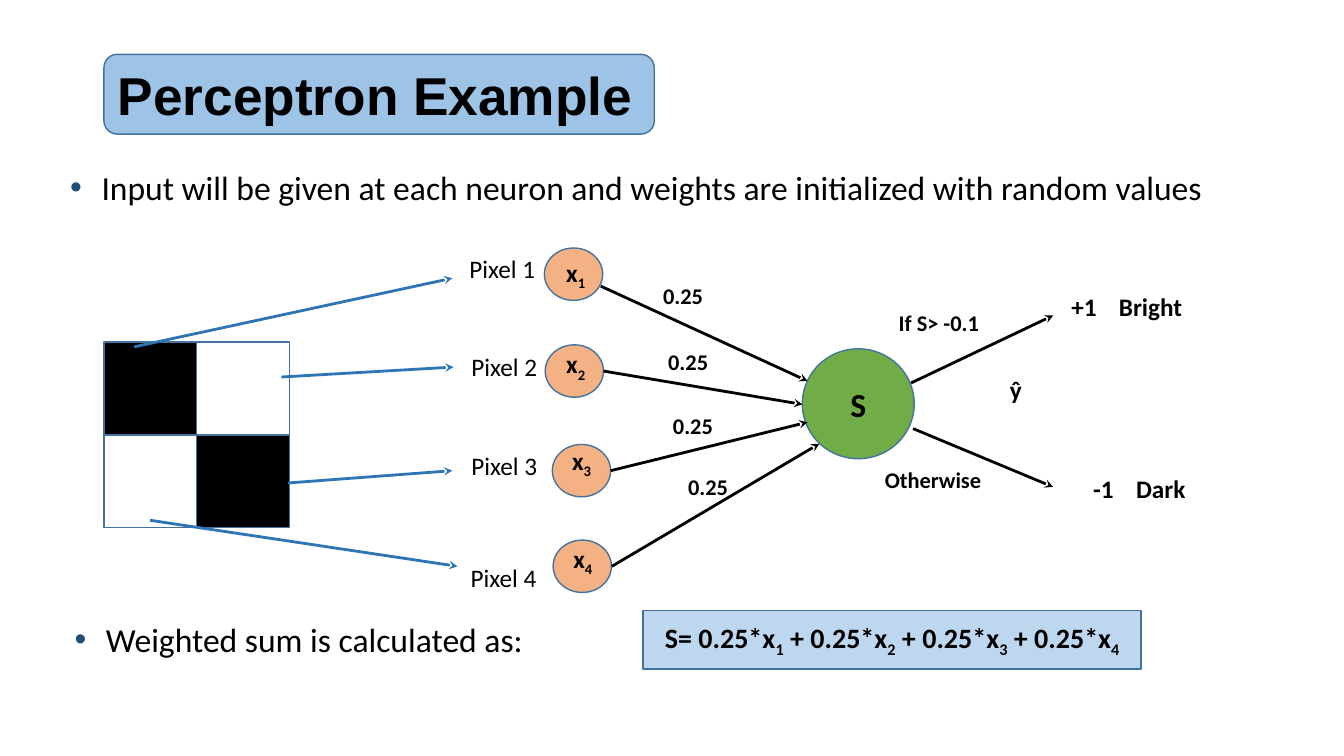
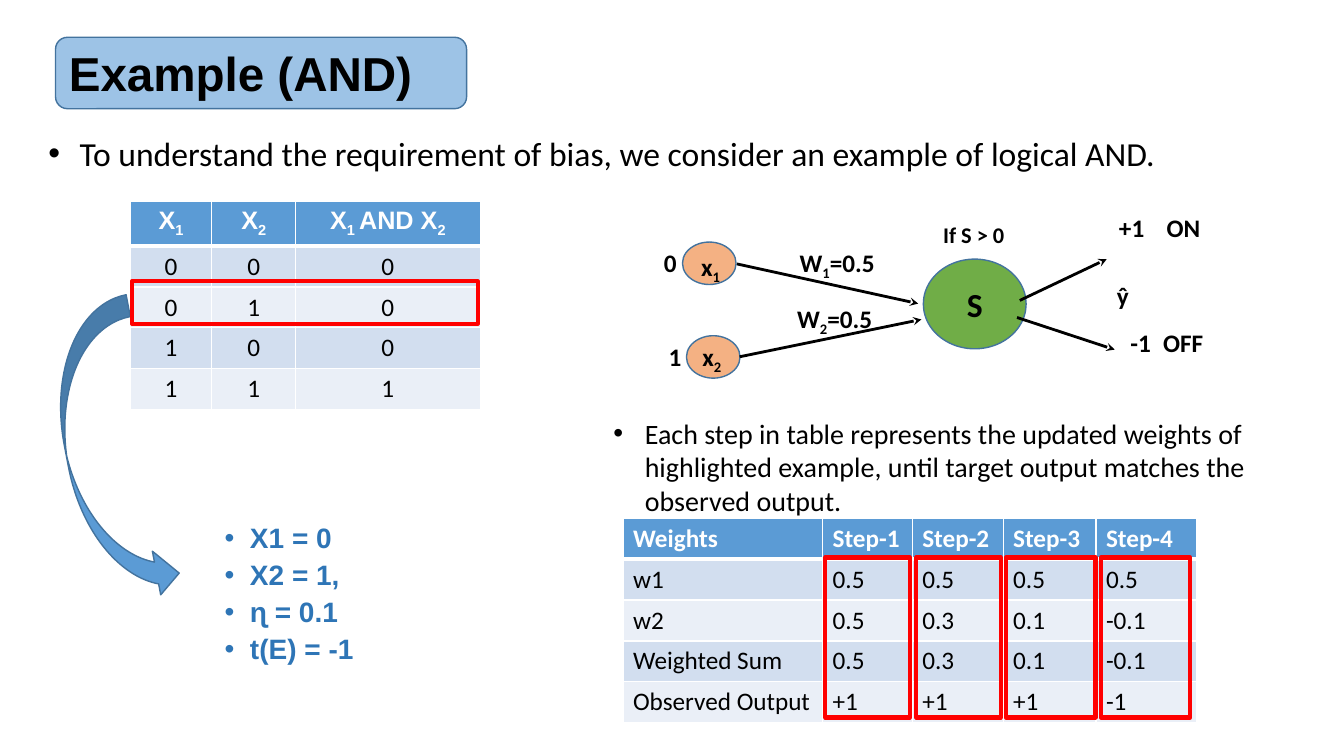
from dataclasses import dataclass

from lxml import etree
from pptx import Presentation
from pptx.dml.color import RGBColor
from pptx.enum.shapes import MSO_CONNECTOR, MSO_SHAPE
from pptx.enum.text import MSO_ANCHOR, PP_ALIGN
from pptx.oxml.ns import qn
from pptx.util import Cm, Pt

RECTANGLE = MSO_SHAPE.RECTANGLE
ROUNDED = MSO_SHAPE.ROUNDED_RECTANGLE
ELLIPSE = MSO_SHAPE.OVAL
CURVED_ARROW = MSO_SHAPE.CURVED_RIGHT_ARROW
STRAIGHT = MSO_CONNECTOR.STRAIGHT
LEFT, CENTER = PP_ALIGN.LEFT, PP_ALIGN.CENTER
TOP, MIDDLE = MSO_ANCHOR.TOP, MSO_ANCHOR.MIDDLE

COLORS = {
    "black": "000000",
    "white": "FFFFFF",
    "outline": "43739E",
    "title": "9DC3E6",
    "formula": "BDD7EE",
    "neuron": "F4B183",
    "sum": "70AD47",
    "accent": "5B9BD5",
    "blue": "2E75B6",
    "navy": "1F4E79",
    "red": "FF0000",
    "band_dark": "D2DEEF",
    "band_light": "EAEFF7",
}
BODY_FONT, HEADING_FONT = "Calibri", "Arial"
INDENT = 0.79
ROW_HEIGHT = 1.03


@dataclass(frozen=True)
class Box:
    left: float
    top: float
    width: float
    height: float = 1.02

    def lengths(self) -> tuple:
        return Cm(self.left), Cm(self.top), Cm(self.width), Cm(self.height)


@dataclass(frozen=True)
class Label:
    text: str
    left: float
    top: float
    width: float = 1.4
    size: int = 18
    bold: bool = True
    tab: float = 0


@dataclass(frozen=True)
class Arrow:
    start: tuple[float, float]
    end: tuple[float, float]
    color: str = "black"


@dataclass(frozen=True)
class Grid:
    left: float
    top: float
    columns: tuple[float, ...]
    rows: tuple[tuple[str, ...], ...]
    align: int
    header_font: str


def rgb(name: str) -> RGBColor:
    return RGBColor.from_string(COLORS[name])


def add_color(parent, name: str) -> None:
    etree.SubElement(parent, qn("a:srgbClr"), val=COLORS[name])


def write_text(paragraph, text: str, *, size: int = 18, bold: bool = False,
               font: str = BODY_FONT, color: str = "black", align: int = LEFT,
               bullet: str = "", indent: float = INDENT, tab: float = 0) -> None:
    paragraph.alignment = align
    for index, piece in enumerate(text.replace("}", "{").split("{")):
        if not piece:
            continue
        run = paragraph.add_run()
        run.text = piece
        run.font.size = Pt(size)
        run.font.bold = bold
        run.font.name = font
        run.font.color.rgb = rgb(color)
        if index % 2:
            run._r.get_or_add_rPr().set("baseline", "-25000")
    properties = paragraph._p.get_or_add_pPr()
    if bullet:
        properties.set("marL", str(Cm(indent)))
        properties.set("indent", str(-Cm(indent)))
        add_color(etree.SubElement(properties, qn("a:buClr")), bullet)
        etree.SubElement(properties, qn("a:buFont"), typeface=HEADING_FONT)
        etree.SubElement(properties, qn("a:buChar"), char="•")
    if tab:
        stops = etree.SubElement(properties, qn("a:tabLst"))
        etree.SubElement(stops, qn("a:tab"), pos=str(Cm(tab)), algn="l")


def add_figure(slide, kind: int, box: Box, fill: str = "", line: str = "outline",
               weight: float = 1):
    shape = slide.shapes.add_shape(kind, *box.lengths())
    shape.shadow.inherit = False
    if fill:
        shape.fill.solid()
        shape.fill.fore_color.rgb = rgb(fill)
    else:
        shape.fill.background()
    shape.line.color.rgb = rgb(line)
    shape.line.width = Pt(weight)
    return shape


def add_caption(shape, text: str, **text_format) -> None:
    frame = shape.text_frame
    frame.word_wrap = True
    frame.vertical_anchor = MIDDLE
    write_text(frame.paragraphs[0], text, bold=True, **text_format)


def add_text(slide, box: Box, *lines: str, spaced: bool = False, **text_format) -> None:
    frame = slide.shapes.add_textbox(*box.lengths()).text_frame
    frame.word_wrap = True
    frame.vertical_anchor = TOP
    for index, line in enumerate(lines):
        paragraph = frame.add_paragraph() if index else frame.paragraphs[0]
        if spaced:
            paragraph.line_spacing = 0.9
            paragraph.space_before = Pt(5)
        write_text(paragraph, line, **text_format)


def add_title(slide, text: str, box: Box, size: int) -> None:
    shape = add_figure(slide, ROUNDED, box, "title")
    add_caption(shape, text, size=size, font=HEADING_FONT)


def add_labels(slide, labels: list[Label]) -> None:
    for label in labels:
        add_text(slide, Box(label.left, label.top, label.width), label.text,
                 size=label.size, bold=label.bold, tab=label.tab)


def add_arrows(slide, arrows: list[Arrow]) -> None:
    for arrow in arrows:
        ends = [Cm(value) for value in (*arrow.start, *arrow.end)]
        connector = slide.shapes.add_connector(STRAIGHT, *ends)
        connector.line.color.rgb = rgb(arrow.color)
        connector.line.width = Pt(2)
        etree.SubElement(connector.line._get_or_add_ln(), qn("a:tailEnd"), type="stealth")
        etree.SubElement(connector._element.spPr, qn("a:effectLst"))


def add_perceptron(slide, neurons: list[Box], total: Box, arrows: list[Arrow],
                   labels: list[Label]) -> None:
    for neuron in neurons:
        add_figure(slide, ELLIPSE, neuron, "neuron")
    add_caption(add_figure(slide, ELLIPSE, total, "sum"), "S", size=24, align=CENTER)
    add_arrows(slide, arrows)
    add_labels(slide, labels)


def add_cell_borders(cell, bottom: float) -> None:
    properties = cell._tc.get_or_add_tcPr()
    for side, weight in (("L", 1), ("R", 1), ("T", 1), ("B", bottom)):
        border = etree.SubElement(properties, qn(f"a:ln{side}"), w=str(Pt(weight)))
        add_color(etree.SubElement(border, qn("a:solidFill")), "white")


def add_grid(slide, grid: Grid) -> None:
    box = Box(grid.left, grid.top, sum(grid.columns), ROW_HEIGHT * len(grid.rows))
    table = slide.shapes.add_table(len(grid.rows), len(grid.columns), *box.lengths()).table
    for column, width in zip(table.columns, grid.columns):
        column.width = Cm(width)
    for row_index, texts in enumerate(grid.rows):
        table.rows[row_index].height = Cm(ROW_HEIGHT)
        header = row_index == 0
        band = "band_dark" if row_index % 2 else "band_light"
        for column_index, text in enumerate(texts):
            cell = table.cell(row_index, column_index)
            add_cell_borders(cell, 3 if header or row_index == 0 else 1)
            cell.fill.solid()
            cell.fill.fore_color.rgb = rgb("accent" if header else band)
            write_text(cell.text_frame.paragraphs[0], text, bold=header, align=grid.align,
                       font=grid.header_font if header else BODY_FONT,
                       color="white" if header else "black")


def build_pixel_slide(slide) -> None:
    neurons = [Box(left, top, 1.47, 1.32) for left, top in
               ((13.72, 6.25), (13.74, 8.69), (13.92, 11.2), (13.94, 13.61))]
    arrows = [
        Arrow((15.14, 7.21), (20.35, 9.6)),
        Arrow((15.21, 9.35), (20.22, 10.19)),
        Arrow((15.39, 11.86), (20.35, 10.64)),
        Arrow((15.42, 14.27), (20.65, 11.18)),
        Arrow((22.96, 9.65), (26.54, 7.95)),
        Arrow((23.01, 10.8), (26.54, 12.27)),
    ]
    inputs = ((14.02, 6.35), (14.02, 8.66), (14.17, 11.1), (14.2, 13.56))
    pixels = ((11.58, 6.25), (11.63, 8.74), (11.63, 11.23), (11.61, 14.05))
    weights = ((16.46, 6.99), (16.59, 8.66), (16.71, 10.26), (17.09, 11.79))
    labels = [Label(f"x{{{number}}}", *place) for number, place in enumerate(inputs, 1)]
    labels += [Label(f"Pixel {number}", *place, 2.74, bold=False)
               for number, place in enumerate(pixels, 1)]
    labels += [Label("0.25", *place, 1.6, 16) for place in weights]
    labels += [
        Label("ŷ", 25.2, 9.32),
        Label("+1\tBright", 26.75, 7.21, 4.04, tab=1.2),
        Label("-1\tDark", 27.3, 11.79, 3.4, tab=1.08),
        Label("If S> -0.1", 22.4, 7.67, 2.8, 16),
        Label("Otherwise", 22.05, 11.61, 3.07, 16),
    ]
    add_perceptron(slide, neurons, Box(20.22, 8.79, 2.82, 2.77), arrows, labels)

    side = 2.34
    for row in range(2):
        for column in range(2):
            box = Box(2.62 + column * side, 8.62 + row * side, side, side)
            add_figure(slide, RECTANGLE, box, "black" if row == column else "white")
    add_arrows(slide, [
        Arrow((3.38, 8.74), (11.4, 7.01), "blue"),
        Arrow((7.09, 9.5), (11.43, 9.25), "blue"),
        Arrow((7.26, 12.17), (11.4, 11.86), "blue"),
        Arrow((3.78, 13.11), (11.53, 14.27), "blue"),
    ])

    formula = "S= " + " + ".join(f"0.25*x{{{number}}}" for number in range(1, 5))
    add_caption(add_figure(slide, RECTANGLE, Box(16.21, 15.39, 12.55, 1.47), "formula"),
                formula, size=20, align=CENTER)
    add_title(slide, "Perceptron Example", Box(2.62, 1.37, 13.87, 2.01), 38)
    add_text(slide, Box(1.52, 4.09, 29.26, 1.27),
             "Input will be given at each neuron and weights are initialized with random values",
             size=24, bullet="navy")
    add_text(slide, Box(1.63, 15.47, 14.5, 1.27), "Weighted sum is calculated as:",
             size=24, bullet="navy")


def build_and_slide(slide) -> None:
    add_title(slide, "Example (AND)", Box(1.4, 0.94, 10.36, 1.8), 34)
    neurons = [Box(17.2, 6.1, 1.35, 1.07), Box(17.3, 8.46, 1.35, 1.07)]
    arrows = [
        Arrow((18.57, 6.65), (23.14, 7.65)),
        Arrow((18.64, 8.99), (23.22, 8.05)),
        Arrow((25.7, 7.57), (27.89, 6.53)),
        Arrow((25.63, 8), (28.09, 8.81)),
    ]
    labels = [
        Label("x{1}", 17.42, 6.2),
        Label("x{2}", 17.45, 8.48),
        Label("ŷ", 27.9, 6.93),
        Label("W{1}=0.5", 19.9, 6.1, 2.64),
        Label("W{2}=0.5", 19.84, 7.52, 2.64),
        Label("+1\tON", 27.95, 5.23, 3.05, tab=1.2),
        Label("-1\tOFF", 28.24, 8.13, 2.79, tab=0.82),
        Label("If S > 0", 23.52, 5.44, 2.64, 16),
        Label("0", 16.48, 6.12),
        Label("1", 16.6, 8.48),
    ]
    add_perceptron(slide, neurons, Box(23.27, 6.53, 2.59, 2.26), arrows, labels)

    truth_rows = (("X{1}", "X{2}", "X{1 }AND X{2}"), ("0", "0", "0"), ("0", "1", "0"),
                  ("1", "0", "0"), ("1", "1", "1"))
    add_grid(slide, Grid(3.28, 5.08, (2.06, 2.11, 4.65), truth_rows, CENTER, HEADING_FONT))
    step_rows = (
        ("Weights", *(f"Step-{number}" for number in range(1, 5))),
        ("w1", "0.5", "0.5", "0.5", "0.5"),
        ("w2", "0.5", "0.3", "0.1", "-0.1"),
        ("Weighted Sum", "0.5", "0.3", "0.1", "-0.1"),
        ("Observed Output", "+1", "+1", "+1", "-1"),
    )
    add_grid(slide, Grid(15.7, 13.06, (5.03, 2.26, 2.29, 2.34, 2.54), step_rows,
                         LEFT, BODY_FONT))

    add_text(slide, Box(5.41, 13.08, 8.03, 5.23), "X1 = 0", "X2 = 1,", "ɳ = 0.1", "t(E) = -1",
             spaced=True, size=20, bold=True, font=HEADING_FONT, color="blue",
             bullet="blue", indent=0.64)
    curve = add_figure(slide, CURVED_ARROW, Box(1.68, 7.57, 2.24, 7.7), "accent")
    curve.rotation = 349.2
    highlights = [Box(3.33, 7.09, 8.71, 1.07)]
    highlights += [Box(left, 14.05, width, 4.03) for left, width in
                   ((20.8, 2.13), (23.09, 2.13), (25.35, 2.26), (27.74, 2.26))]
    for highlight in highlights:
        add_figure(slide, RECTANGLE, highlight, line="red", weight=3)
    add_text(slide, Box(0.97, 3.23, 30.66, 1.27),
             "To understand the requirement of bias, we consider an example of logical AND.",
             size=24, bullet="black")
    add_text(slide, Box(15.21, 10.36, 18.24, 2.82),
             "Each step in table represents the updated weights of highlighted example, "
             "until target output matches the observed output.", size=20, bullet="black")


def main() -> None:
    presentation = Presentation()
    presentation.slide_width = Cm(33.87)
    presentation.slide_height = Cm(19.05)
    for build in (build_pixel_slide, build_and_slide):
        build(presentation.slides.add_slide(presentation.slide_layouts[6]))
    presentation.save("out.pptx")


if __name__ == "__main__":
    main()
